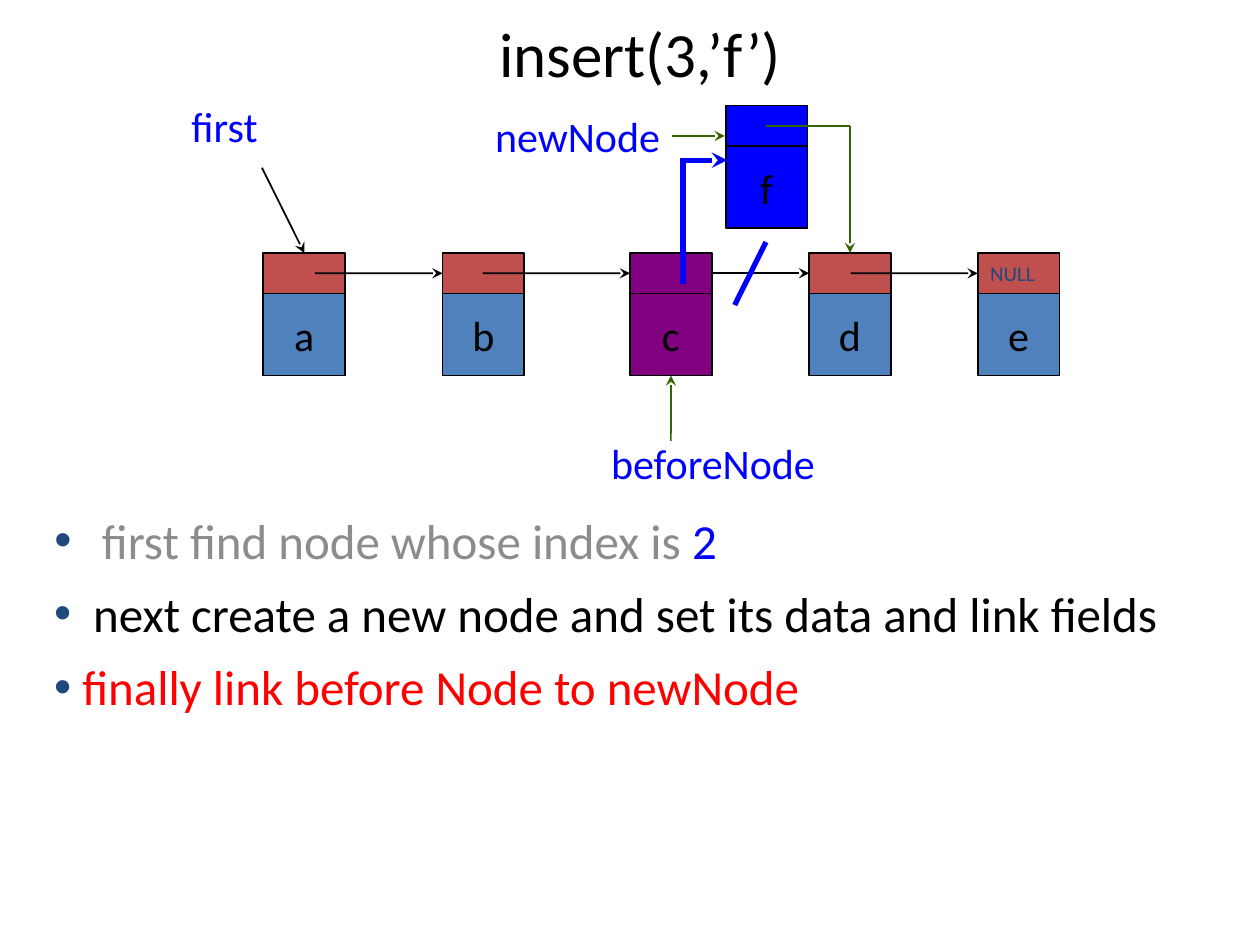
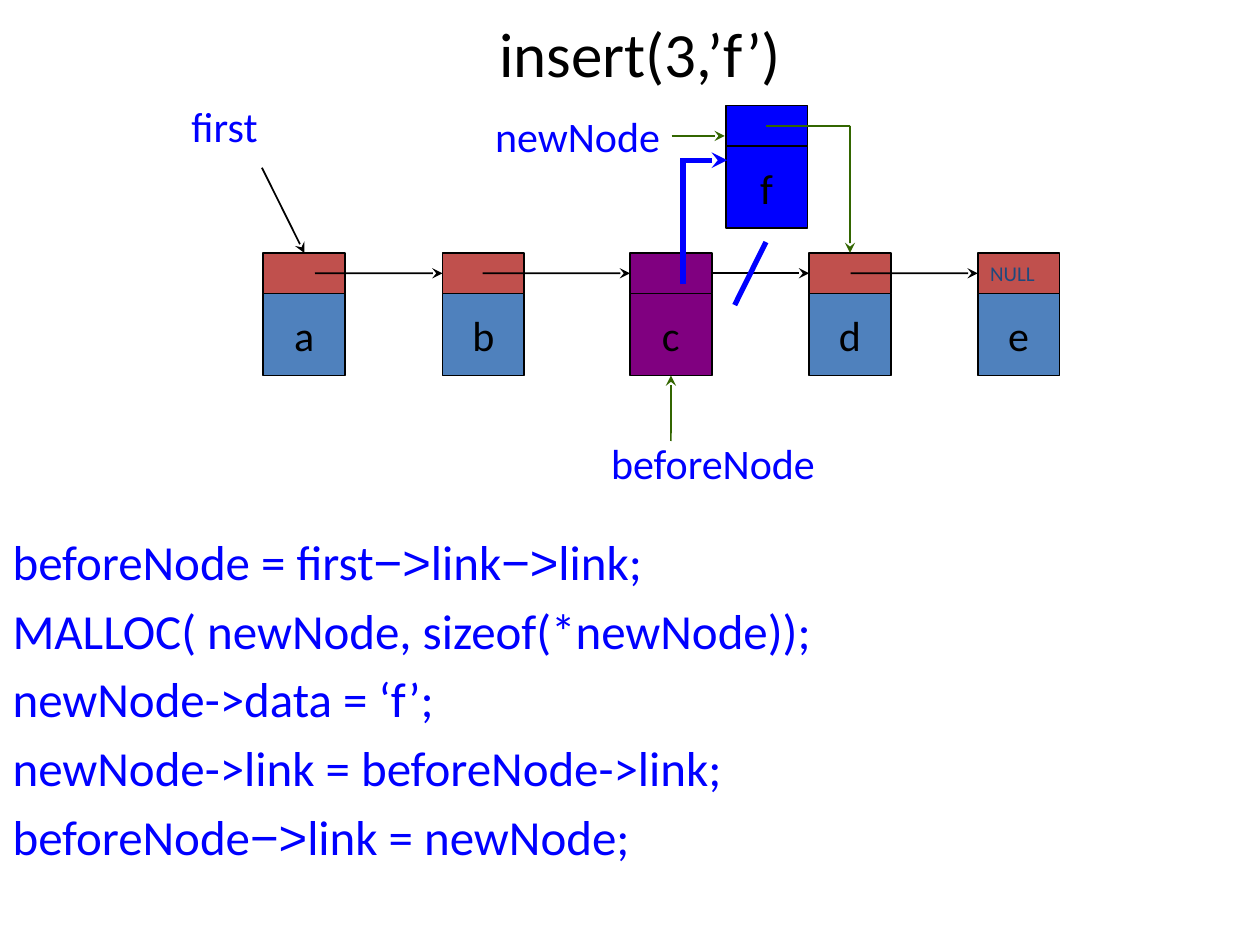
import dataclasses

import pptx
import pptx.dml.color
import pptx.enum.shapes
import pptx.enum.text
import pptx.oxml
import pptx.oxml.ns
import pptx.util
from pptx.util import Cm

ALIGN = pptx.enum.text.PP_ALIGN
ANCHOR = pptx.enum.text.MSO_ANCHOR
TOP, LEFT, BOTTOM, RIGHT = range(4)


@dataclasses.dataclass(frozen=True)
class Theme:
    font: str = "Calibri"
    symbol_font: str = "Arial"
    title_size: int = 36
    body_size: int = 28
    label_size: int = 24
    null_size: int = 12
    thin: int = 1
    thick: int = 3
    black: str = "000000"
    blue: str = "0000FF"
    navy: str = "1F497D"
    gray: str = "8C8C8C"
    red: str = "FF0000"
    green: str = "336600"
    data_fill: str = "4F81BD"
    link_fill: str = "C0504D"
    before_fill: str = "800080"


THEME = Theme()
NODE_W, DATA_H, LINK_H = 1.65, 1.65, 0.82
ROW_TOP, NEW_TOP = 5.1, 2.13
LINK_Y = ROW_TOP + LINK_H / 2
NODE_LEFTS = {"a": 5.31, "b": 8.92, "c": 12.7, "d": 16.31, "e": 19.71}
POINTER_STARTS = {"a": 6.35, "b": 9.73, "d": 17.15}


def rgb(color):
    return pptx.dml.color.RGBColor.from_string(color)


def add_xml(parent, xml):
    ns = pptx.oxml.ns.nsdecls("a")
    tag, _, rest = xml.partition(" ")
    parent.append(pptx.oxml.parse_xml(f"<a:{tag} {ns} {rest}/>"))


class Deck:
    def __init__(self, theme):
        self.theme = theme
        self.prs = pptx.Presentation()
        self.prs.slide_width, self.prs.slide_height = Cm(25.4), Cm(19.05)
        self.s = None

    def add_slide(self, title):
        self.s = self.prs.slides.add_slide(self.prs.slide_layouts[0])
        sp = self.place(self.s.shapes.title, 2.11, 0, 21.59, 2.11)
        tf = sp.text_frame
        tf.text = title
        tf.vertical_anchor = ANCHOR.MIDDLE
        self.style(tf.paragraphs[0], self.theme.title_size, self.theme.black, ALIGN.CENTER)

    def place(self, sp, x, y, w, h):
        sp.left, sp.top, sp.width, sp.height = Cm(x), Cm(y), Cm(w), Cm(h)
        return sp

    def style(self, p, size, color, align=ALIGN.LEFT):
        p.alignment = align
        for r in p.runs:
            r.font.name = self.theme.font
            r.font.size = pptx.util.Pt(size)
            r.font.color.rgb = rgb(color)

    def body(self, x, y, w, h):
        sp = self.place(self.s.placeholders[1], x, y, w, h)
        return self.setup_frame(sp)

    def textbox(self, x, y, w, h):
        return self.setup_frame(self.s.shapes.add_textbox(Cm(x), Cm(y), Cm(w), Cm(h)))

    def setup_frame(self, sp):
        tf = sp.text_frame
        tf.word_wrap = True
        tf.auto_size = pptx.enum.text.MSO_AUTO_SIZE.NONE
        tf.vertical_anchor = ANCHOR.TOP
        return tf

    def label(self, text, x, y, w):
        tf = self.textbox(x, y, w, 1.27)
        tf.text = text
        self.style(tf.paragraphs[0], self.theme.label_size, self.theme.blue)

    def bullet(self, tf, text, color, indent):
        tf.text = text
        p = tf.paragraphs[0]
        self.style(p, self.theme.body_size, color)
        pPr = p._p.get_or_add_pPr()
        pPr.set("marL", str(Cm(indent)))
        pPr.set("indent", str(-Cm(indent)))
        buClr = pptx.oxml.parse_xml(
            f'<a:buClr {pptx.oxml.ns.nsdecls("a")}><a:srgbClr val="{self.theme.navy}"/></a:buClr>')
        pPr.append(buClr)
        add_xml(pPr, f'buFont typeface="{self.theme.symbol_font}"')
        add_xml(pPr, 'buChar char="•"')
        return p

    def code(self, lines):
        tf = self.body(0, 10.59, 25.4, 7.14)
        for i, line in enumerate(lines):
            p = tf.paragraphs[0] if i == 0 else tf.add_paragraph()
            for j, part in enumerate(line.split("−>")):
                if j:
                    p.add_run().text = "−>"
                p.add_run().text = part
            self.style(p, self.theme.body_size, self.theme.blue)
            for r in p.runs:
                if r.text == "−>":
                    r.font.name = self.theme.symbol_font

    def box(self, x, y, h, fill, text="", size=None, color=None, align=ALIGN.CENTER):
        sp = self.s.shapes.add_shape(
            pptx.enum.shapes.MSO_SHAPE.RECTANGLE, Cm(x), Cm(y), Cm(NODE_W), Cm(h))
        sp.shadow.inherit = False
        sp.fill.solid()
        sp.fill.fore_color.rgb = rgb(fill)
        sp.line.color.rgb = rgb(self.theme.black)
        sp.line.width = pptx.util.Pt(self.theme.thin)
        if text:
            tf = sp.text_frame
            tf.text = text
            tf.vertical_anchor = ANCHOR.MIDDLE
            self.style(tf.paragraphs[0], size, color, align)
        return sp

    def node(self, letter, x, y, data_fill, link_fill, link_text=""):
        t = self.theme
        data = self.box(x, y + LINK_H, DATA_H, data_fill, letter, t.label_size, t.black)
        link = self.box(x, y, LINK_H, link_fill, link_text, t.null_size, t.navy, ALIGN.LEFT)
        return data, link

    def line(self, start, end, color, width=THEME.thin, arrow=True, begin=None, finish=None):
        points = [Cm(v) for v in (*start, *end)]
        cn = self.s.shapes.add_connector(pptx.enum.shapes.MSO_CONNECTOR.STRAIGHT, *points)
        cn.line.color.rgb = rgb(color)
        cn.line.width = pptx.util.Pt(width)
        if arrow:
            add_xml(cn.line._get_or_add_ln(), 'tailEnd type="stealth"')
        add_xml(cn._element.spPr, "effectLst")
        if begin:
            cn.begin_connect(*begin)
        if finish:
            cn.end_connect(*finish)

    def linked_list(self):
        t = self.theme
        data, link = {}, {}
        for letter, x in NODE_LEFTS.items():
            fills = (t.before_fill,) * 2 if letter == "c" else (t.data_fill, t.link_fill)
            null = "NULL" if letter == "e" else ""
            data[letter], link[letter] = self.node(letter, x, ROW_TOP, *fills, null)
        for letter, following in zip("abcd", "bcde"):
            start = (POINTER_STARTS.get(letter, NODE_LEFTS[letter] + NODE_W), LINK_Y)
            begin = (link["c"], RIGHT) if letter == "c" else None
            self.line(start, (NODE_LEFTS[following], LINK_Y), t.black,
                      begin=begin, finish=(link[following], LEFT))
        self.label("first", 3.61, 1.9, 4.65)
        self.line((5.28, 3.38), (NODE_LEFTS["a"] + NODE_W / 2, ROW_TOP), t.black,
                  finish=(link["a"], TOP))
        self.new_node(link["d"])
        self.before_node(data["c"])

    def new_node(self, next_link):
        t = self.theme
        next_x = NODE_LEFTS["d"] + NODE_W / 2
        self.node("f", 14.63, NEW_TOP, t.blue, t.blue)
        self.line((15.44, 2.54), (next_x, 2.54), t.green, arrow=False)
        self.line((next_x, 2.54), (next_x, ROW_TOP), t.green, finish=(next_link, TOP))
        self.label("newNode", 9.73, 2.11, 4.24)
        self.line((13.54, 2.74), (14.61, 2.74), t.green)
        self.line((15.44, 4.88), (14.81, 6.15), t.blue, t.thick, arrow=False)

    def before_node(self, before_data):
        t = self.theme
        x = NODE_LEFTS["c"] + NODE_W / 2
        self.label("beforeNode", 12.07, 8.69, 5.08)
        self.line((x, 8.89), (x, 7.57), t.green, finish=(before_data, BOTTOM))
        self.line((13.77, 5.72), (13.77, 3.18), t.blue, t.thick, arrow=False)
        self.line((13.79, 3.23), (14.66, 3.23), t.blue, t.thick)


def main():
    deck = Deck(THEME)

    deck.add_slide("insert(3,’f’)")
    p = deck.bullet(deck.body(0.84, 10.16, 23.5, 1.47),
                    "first find node whose index is ", THEME.gray, 0.96)
    r = p.add_run()
    r.text = "2"
    r.font.name = THEME.font
    r.font.size = pptx.util.Pt(THEME.body_size)
    r.font.color.rgb = rgb(THEME.blue)
    deck.linked_list()
    deck.bullet(deck.textbox(0.84, 11.64, 23.5, 1.45),
                "next create a new node and set its data and link fields", THEME.black, 0.79)
    deck.bullet(deck.textbox(0.84, 13.12, 23.5, 1.45),
                "finally link before Node to newNode", THEME.red, 0.57)

    deck.add_slide("insert(3,’f’)")
    deck.code([
        "beforeNode = first−>link−>link;",
        "MALLOC( newNode, sizeof(*newNode));",
        "newNode->data = ‘f’;",
        "newNode->link = beforeNode->link;",
        "beforeNode−>link = newNode;",
    ])
    deck.linked_list()

    deck.prs.save("out.pptx")


if __name__ == "__main__":
    main()
